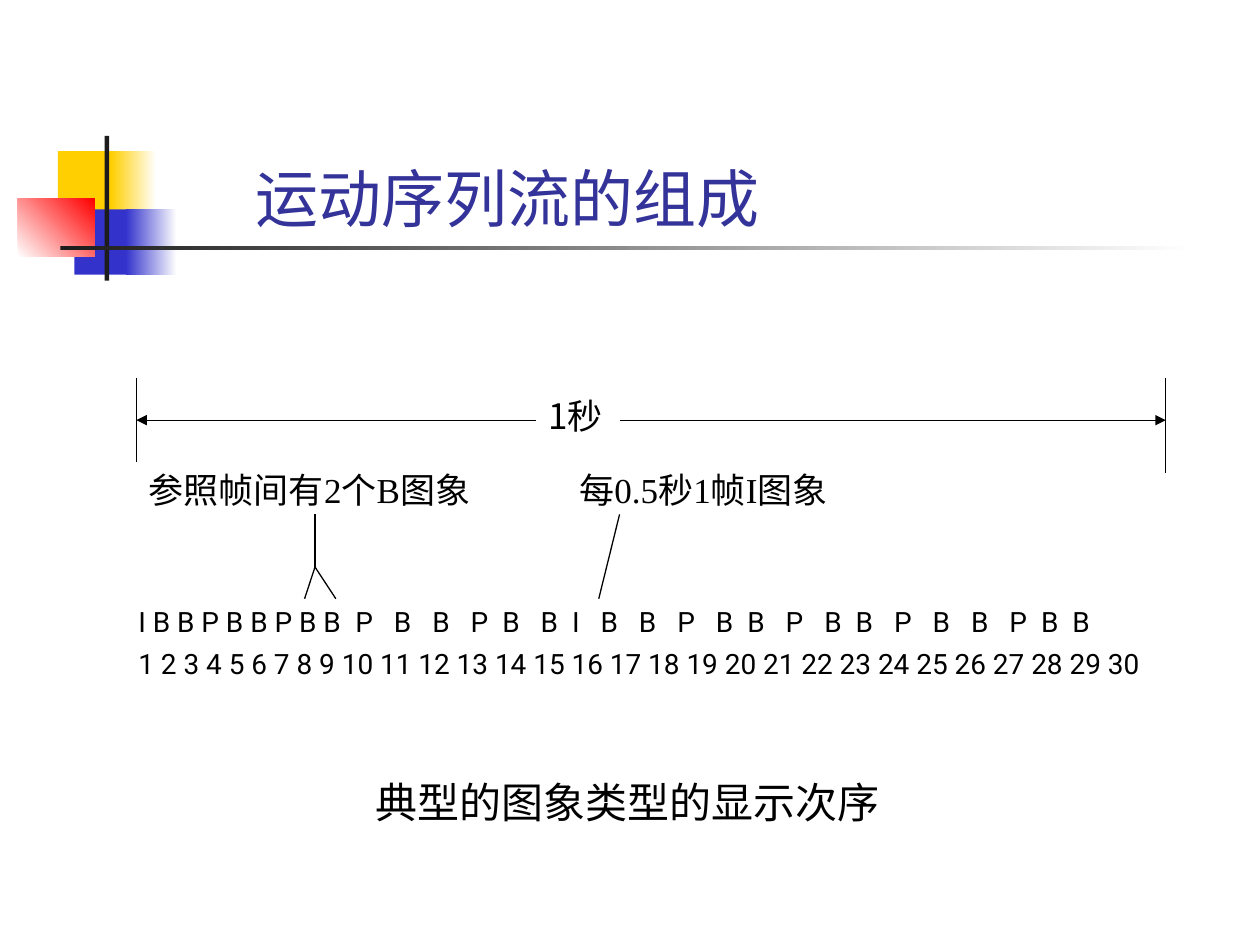
from lxml.etree import SubElement
from pptx import Presentation
from pptx.dml.color import RGBColor
from pptx.enum.shapes import MSO_CONNECTOR, MSO_SHAPE
from pptx.enum.text import MSO_ANCHOR, MSO_AUTO_SIZE, PP_ALIGN
from pptx.oxml.ns import qn
from pptx.util import Cm, Pt

COLORS = {
    "yellow": "FFCF01", "blue": "3333CC", "red": "FF0000",
    "dark": "1C1C1C", "white": "FFFFFF", "black": "000000", "title": "333399",
}
SANS, SERIF, LATIN = "Noto Sans CJK SC", "Times New Roman", "Roboto"

TITLE = "运动序列流的组成"
TITLE_BOX = (4.9, 2.51, 15.85, 2.36)

# Box, colours (one is solid, two fade), fade angle
ORNAMENTS = [
    ((1.17, 3.05, 1.22, 1.32), ["yellow"], 0),
    ((2.24, 3.05, 0.91, 1.32), ["yellow", "white"], 0),
    ((1.5, 4.22, 1.17, 1.32), ["blue"], 0),
    ((2.54, 4.22, 1.02, 1.32), ["blue", "white"], 0),
    ((0.36, 4.01, 1.55, 1.17), ["white", "red"], 45),
    ((2.11, 2.74, 0.09, 2.92), ["dark"], 0),
    ((1.22, 4.95, 22.86, 0.09), ["dark", "white"], 0),
]

# Span of one second
START, END, SPAN_TOP, SPAN_Y = 2.75, 23.5, 7.62, 8.47
# Callouts above the frame row
FORK, FORK_Y, CALLOUT_TOP, FRAMES_Y = 6.35, 11.43, 10.37, 12.07

# From, to, arrowhead at the end
LINES = [
    ((START, SPAN_TOP), (START, 9.31), False),
    ((END, SPAN_TOP), (END, 9.53), False),
    ((10.8, SPAN_Y), (START, SPAN_Y), True),
    ((12.49, SPAN_Y), (END, SPAN_Y), True),
    ((6.14, FRAMES_Y), (FORK, FORK_Y), False),
    ((6.77, FRAMES_Y), (FORK, FORK_Y), False),
    ((FORK, FORK_Y), (FORK, CALLOUT_TOP), False),
    ((12.07, FRAMES_Y), (12.49, CALLOUT_TOP), False),
]

# Text, box, size, font, alignment
LABELS = [
    ("1秒", (10.8, 7.83, 1.9, 1.12), 20, SANS, PP_ALIGN.LEFT),
    ("参照帧间有2个B图象", (2.75, 9.31, 11.85, 1.12), 20, SERIF, PP_ALIGN.LEFT),
    ("每0.5秒1帧I图象", (11.43, 9.31, 11.43, 1.12), 20, SERIF, PP_ALIGN.LEFT),
    (" ".join(str(n) for n in range(1, 31)), (2.54, 12.91, 22.86, 0.94),
     16, LATIN, PP_ALIGN.LEFT),
    ("典型的图象类型的显示次序", (4.5, 15.52, 16.3, 1.27), 24, SERIF, PP_ALIGN.CENTER),
]

# Frame types; each later one follows a gap of 2 or 3 space widths
FIRST_FRAMES = "I B B P B B P B B"
LATER_FRAMES = "PBBPBBIBBPBBPBBPBBPBB"
LATER_GAPS = [2, 3, 3, 3, 2, 3, 2, 3, 3, 3, 3, 2, 3, 3, 2, 3, 3, 3, 3, 2, 2]
FRAMES_BOX = (2.54, 12.07, 21.39, 0.94)
FRAMES_SIZE = 16
ADVANCE = {"I": 0.27, "B": 0.62, "P": 0.63, " ": 0.25}  # in em


def color(name):
    return RGBColor.from_string(COLORS[name])


def add_ornament(slide, box, shades, angle):
    shape = slide.shapes.add_shape(MSO_SHAPE.RECTANGLE, *map(Cm, box))
    shape.shadow.inherit = False
    shape.line.fill.background()
    if len(shades) == 1:
        shape.fill.solid()
        shape.fill.fore_color.rgb = color(shades[0])
        return
    shape.fill.gradient()
    shape.fill.gradient_angle = angle
    for stop, shade in zip(shape.fill.gradient_stops, shades):
        stop.color.rgb = color(shade)


def add_line(slide, start, end, arrow):
    line = slide.shapes.add_connector(MSO_CONNECTOR.STRAIGHT, *map(Cm, start + end))
    line.line.width = Pt(0.75)
    line.line.color.rgb = color("black")
    if arrow:
        SubElement(line.line._get_or_add_ln(), qn("a:tailEnd"), type="triangle")
    SubElement(line._element.spPr, qn("a:effectLst"))


def format_paragraph(paragraph, size, font, shade, align):
    paragraph.alignment = align
    paragraph.font.size = Pt(size)
    paragraph.font.name = font
    paragraph.font.color.rgb = color(shade)


def add_label(slide, text, box, size, font, align, tab_stops=()):
    frame = slide.shapes.add_textbox(*map(Cm, box)).text_frame
    frame.word_wrap = True
    frame.auto_size = MSO_AUTO_SIZE.SHAPE_TO_FIT_TEXT
    frame.text = text
    paragraph = frame.paragraphs[0]
    if tab_stops:
        tabs = SubElement(paragraph._p.get_or_add_pPr(), qn("a:tabLst"))
        for stop in tab_stops:
            SubElement(tabs, qn("a:tab"), pos=str(stop), algn="l")
    format_paragraph(paragraph, size, font, "black", align)


def frame_tab_stops():
    """Left edge of each later frame, from the letter widths and gaps."""
    em = Pt(FRAMES_SIZE)
    position = sum(ADVANCE[letter] for letter in FIRST_FRAMES)
    stops = []
    for letter, gap in zip(LATER_FRAMES, LATER_GAPS):
        position += gap * ADVANCE[" "]
        stops.append(round(position * em))
        position += ADVANCE[letter]
    return stops


def set_title(slide):
    title = slide.shapes.title
    title.left, title.top, title.width, title.height = map(Cm, TITLE_BOX)
    frame = title.text_frame
    frame.text = TITLE
    frame.auto_size = MSO_AUTO_SIZE.NONE
    frame.vertical_anchor = MSO_ANCHOR.BOTTOM
    format_paragraph(frame.paragraphs[0], 36, SANS, "title", PP_ALIGN.LEFT)


def main():
    deck = Presentation()
    deck.slide_width, deck.slide_height = Cm(25.4), Cm(19.05)
    slide = deck.slides.add_slide(deck.slide_layouts[5])
    set_title(slide)
    for ornament in ORNAMENTS:
        add_ornament(slide, *ornament)
    for line in LINES:
        add_line(slide, *line)
    for label in LABELS:
        add_label(slide, *label)
    frames = "\t".join([FIRST_FRAMES, *LATER_FRAMES])
    add_label(slide, frames, FRAMES_BOX, FRAMES_SIZE, LATIN, PP_ALIGN.LEFT,
              frame_tab_stops())
    deck.save("out.pptx")


if __name__ == "__main__":
    main()
